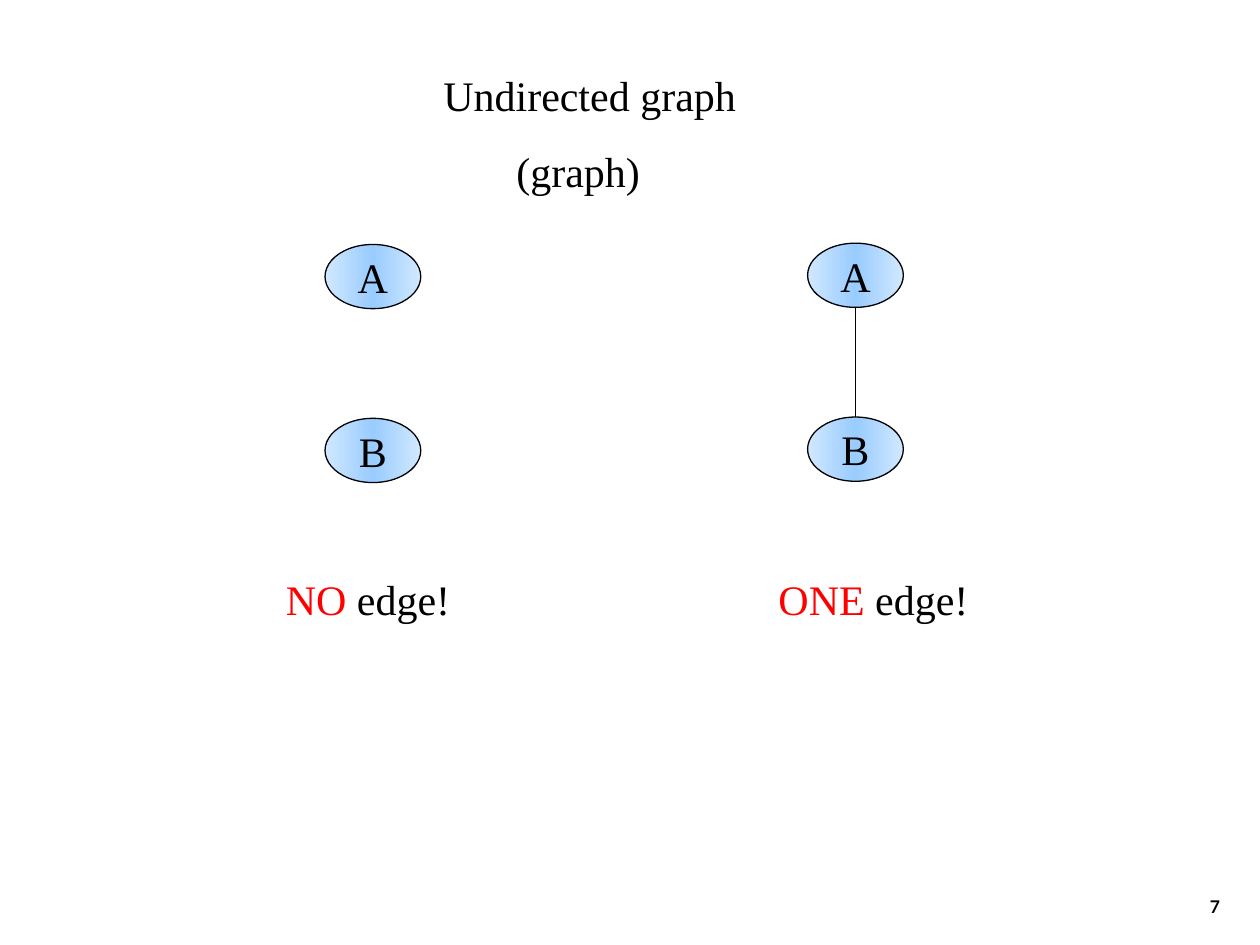
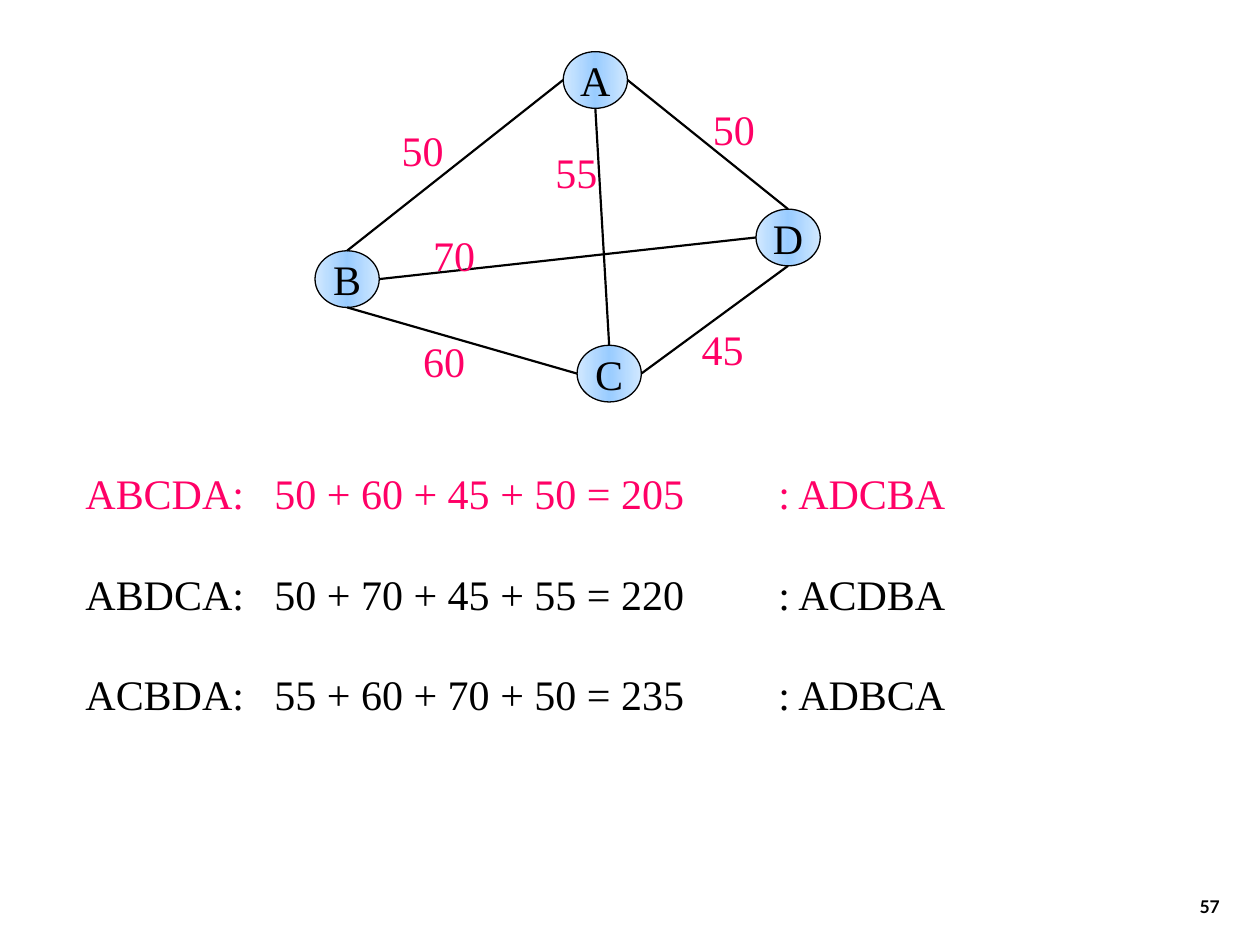
from copy import deepcopy
from dataclasses import dataclass

from lxml import etree
from pptx import Presentation
from pptx import util as u
from pptx.dml.color import RGBColor
from pptx.enum import shapes, text
from pptx.oxml.ns import qn


@dataclass(frozen=True)
class Theme:
    ink: str = "000000"
    red: str = "FF0000"
    pink: str = "FF0066"
    rim: str = "D1E8FF"
    core: str = "99CCFF"
    body: str = "Times New Roman"
    foot: str = "Lato"
    size: float = 24
    small: float = 10
    lead: float = 28.8
    gap: float = 15


T = Theme()
ALIGN = text.PP_ALIGN
ANCHOR = text.MSO_ANCHOR


def style(para, color=T.ink, align=ALIGN.LEFT):
    """Give a paragraph the body type."""
    para.alignment = align
    para.line_spacing = u.Pt(T.lead)
    para.font.name, para.font.size = T.body, u.Pt(T.size)
    para.font.color.rgb = RGBColor.from_string(color)


def box(slide, x, y, w, h, wrap=True):
    """Add an empty text box and return its frame."""
    frame = slide.shapes.add_textbox(*map(u.Inches, (x, y, w, h))).text_frame
    frame.word_wrap = wrap
    return frame


def number(slide, value):
    """Page number at the lower right."""
    frame = box(slide, 7.7, 6.83, 2.08, 0.5)
    frame.vertical_anchor = ANCHOR.BOTTOM
    para = frame.paragraphs[0]
    para.text = str(value)
    style(para, align=ALIGN.RIGHT)
    para.line_spacing = None
    para.font.name, para.font.size, para.font.bold = T.foot, u.Pt(T.small), True


def node(slide, name, x, y, w, h):
    """Graph node: an oval that is darker in the middle."""
    oval = slide.shapes.add_shape(shapes.MSO_SHAPE.OVAL, *map(u.Inches, (x, y, w, h)))
    oval.shadow.inherit = False
    oval.line.color.rgb = RGBColor.from_string(T.ink)
    oval.line.width = u.Pt(0.75)
    oval.fill.gradient()
    oval.fill.gradient_angle = 0
    for stop, color, pos in zip(oval.fill.gradient_stops, (T.rim, T.core), (0, 0.5)):
        stop.color.rgb = RGBColor.from_string(color)
        stop.position = pos
    stops = oval._element.spPr.find(qn("a:gradFill")).find(qn("a:gsLst"))
    last = deepcopy(stops[0])
    last.set("pos", "100000")
    stops.append(last)
    frame = oval.text_frame
    frame.word_wrap = False
    frame.vertical_anchor = ANCHOR.MIDDLE
    frame.text = name
    style(frame.paragraphs[0], align=ALIGN.CENTER)
    return oval


def port(oval, side):
    """Point on the top, bottom, left or right of a node."""
    dx, dy = {"top": (0.5, 0), "bottom": (0.5, 1), "left": (0, 0.5), "right": (1, 0.5)}[side]
    return int(oval.left + dx * oval.width), int(oval.top + dy * oval.height)


def edge(slide, start, end, width):
    """Graph edge between two (node, side) pairs."""
    line = slide.shapes.add_connector(
        shapes.MSO_CONNECTOR.STRAIGHT, *port(*start), *port(*end))
    line.line.color.rgb = RGBColor.from_string(T.ink)
    line.line.width = u.Pt(width)
    etree.SubElement(line._element.spPr, qn("a:effectLst"))


def weight(slide, value, x, y):
    """Cost written beside an edge."""
    frame = box(slide, x, y, 0.53, 0.5, wrap=False)
    frame.text = str(value)
    style(frame.paragraphs[0], T.pink, ALIGN.CENTER)


def count(slide, word, x, w):
    """Caption with its first word in red."""
    para = box(slide, x, 4.5, w, 0.5).paragraphs[0]
    style(para)
    run = para.add_run()
    run.text = word
    run.font.color.rgb = RGBColor.from_string(T.red)
    para.add_run().text = " edge!"


def title(slide):
    frame = box(slide, 3.42, 0.5, 2.67, 1.11)
    frame.text = "Undirected graph\n(graph)"
    for para in frame.paragraphs:
        style(para)
        para.space_before = u.Pt(T.gap)
    frame.paragraphs[1]._p.get_or_add_pPr().set("marL", str(u.Inches(0.58)))


def tours(slide, rows):
    """Tour costs, set in columns by tab stops; the best tour comes first."""
    frame = box(slide, 0.58, 3.66, 8.5, 2.1)
    frame.text = "\n".join("\t".join(row) for row in rows)
    for i, para in enumerate(frame.paragraphs):
        style(para, T.ink if i else T.pink)
        para.space_before = u.Pt(T.lead if i else 0)
        tabs = etree.Element(qn("a:tabLst"))
        for pos in (1.5, 5.5):
            etree.SubElement(tabs, qn("a:tab"), pos=str(u.Inches(pos)), algn="l")
        para._p.pPr.find(qn("a:defRPr")).addprevious(tabs)


def pairs(slide):
    """Two nodes without and with an edge."""
    number(slide, 7)
    title(slide)
    for x, y, word, left, width in ((2.58, 1.94, "NO", 2.17, 1.67),
                                    (6.41, 1.93, "ONE", 6.08, 1.83)):
        a, b = (node(slide, name, x, y + i * 1.38, 0.76, 0.51)
                for i, name in enumerate("AB"))
        count(slide, word, left, width)
    edge(slide, (a, "bottom"), (b, "top"), 0.75)


def routes(slide):
    """Weighted graph and the cost of each tour."""
    number(slide, 57)
    spots = {"A": (4.47, 0.41), "B": (2.5, 1.99), "C": (4.58, 2.74), "D": (6, 1.66)}
    nodes = {name: node(slide, name, *at, 0.51, 0.45) for name, at in spots.items()}
    links = (
        ("A", "left", "B", "top", 50, 3.09, 0.94),
        ("A", "bottom", "C", "top", 55, 4.31, 1.11),
        ("A", "right", "D", "top", 50, 5.56, 0.77),
        ("C", "left", "B", "bottom", 60, 3.26, 2.61),
        ("B", "right", "D", "left", 70, 3.34, 1.77),
        ("D", "bottom", "C", "right", 45, 5.47, 2.52),
    )
    for a, out, b, into, cost, x, y in links:
        edge(slide, (nodes[a], out), (nodes[b], into), 1.25)
        weight(slide, cost, x, y)
    tours(slide, (
        ("ABCDA:", "50 + 60 + 45 + 50 = 205", ": ADCBA"),
        ("ABDCA:", "50 + 70 + 45 + 55 = 220", ": ACDBA"),
        ("ACBDA:", "55 + 60 + 70 + 50 = 235", ": ADBCA"),
    ))


def main():
    deck = Presentation()
    deck.slide_width, deck.slide_height = u.Inches(10), u.Inches(7.5)
    for draw in (pairs, routes):
        draw(deck.slides.add_slide(deck.slide_layouts[6]))
    deck.save("out.pptx")


if __name__ == "__main__":
    main()
